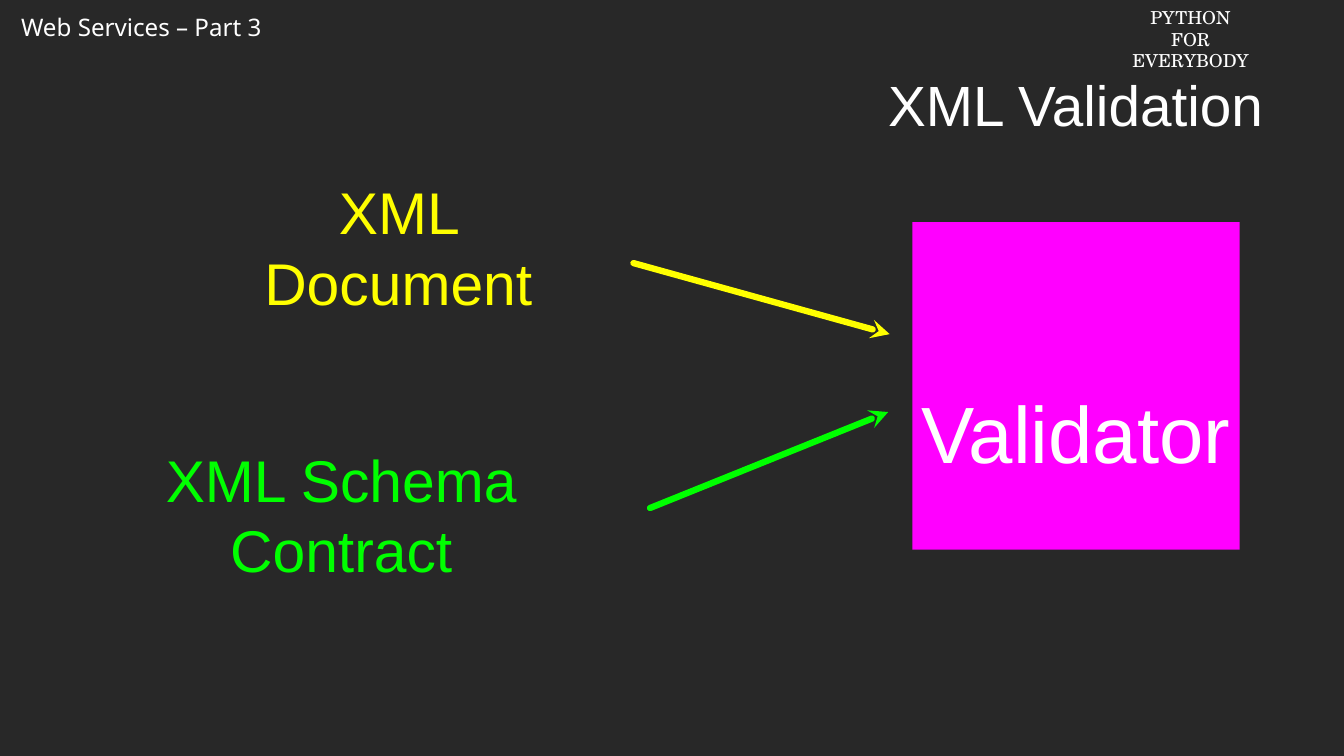
from dataclasses import dataclass

from lxml import etree
from pptx import Presentation
from pptx.dml.color import RGBColor
from pptx.enum.shapes import MSO_CONNECTOR, MSO_SHAPE
from pptx.enum.text import MSO_ANCHOR, PP_ALIGN
from pptx.oxml.ns import qn
from pptx.util import Emu, Pt

STRAIGHT = MSO_CONNECTOR.STRAIGHT
RECTANGLE = MSO_SHAPE.RECTANGLE
TOP, MIDDLE = MSO_ANCHOR.TOP, MSO_ANCHOR.MIDDLE
LEFT, CENTER = PP_ALIGN.LEFT, PP_ALIGN.CENTER

EMU_PER_PX = 9144  # 100 px to the inch
WHITE, YELLOW, GREEN, MAGENTA = "FFFFFF", "FFFF00", "00FF00", "FF00FF"


@dataclass
class Label:
    lines: list[str]
    area: tuple[int, int, int, int]  # left, top, width, height
    size: int
    color: str = WHITE
    font: str = "Arial"
    align: PP_ALIGN = CENTER
    anchor: MSO_ANCHOR = MIDDLE
    wrap: bool = True
    inset: tuple[int, int] = (0, 0)  # sides, top
    fill: str | None = None


@dataclass
class Arrow:
    tip: tuple[int, int]
    start: tuple[int, int]
    color: str


LABELS = [
    Label(["Web Services – Part 3"], (18, 12, 350, 49), 23, font="Noto Sans",
          align=LEFT, anchor=TOP, wrap=False, inset=(10, 5)),
    Label(["PYTHON FOR", "EVERYBODY"], (1488, 4, 174, 67), 17,
          font="TeX Gyre Schola", anchor=TOP, inset=(8, 5)),
    Label(["Validator"], (1207, 294, 433, 433), 76, inset=(0, 121), fill=MAGENTA),
    Label(["XML Schema Contract"], (84, 630, 735, 100), 56, GREEN),
    Label(["XML Document"], (265, 276, 524, 100), 56, YELLOW),
    Label(["XML Validation"], (1156, 83, 534, 110), 54),
]

ARROWS = [
    Arrow((1177, 442), (838, 348), YELLOW),
    Arrow((1175, 545), (860, 672), GREEN),
]


def px(length: int) -> Emu:
    return Emu(length * EMU_PER_PX)


def rgb(color: str) -> RGBColor:
    return RGBColor.from_string(color)


def draw_label(page, label: Label) -> None:
    area = [px(length) for length in label.area]
    if label.fill:
        box = page.shapes.add_shape(RECTANGLE, *area)
        box.shadow.inherit = False
        box.fill.solid()
        box.fill.fore_color.rgb = rgb(label.fill)
        box.line.fill.background()
    else:
        box = page.shapes.add_textbox(*area)
    frame = box.text_frame
    frame.word_wrap = label.wrap
    frame.vertical_anchor = label.anchor
    sides, top = label.inset
    frame.margin_left = frame.margin_right = px(sides)
    frame.margin_top = px(top)
    frame.margin_bottom = 0
    frame.text = "\n".join(label.lines)
    for paragraph in frame.paragraphs:
        paragraph.alignment = label.align
        paragraph.font.name = label.font
        paragraph.font.size = Pt(label.size)
        paragraph.font.color.rgb = rgb(label.color)


def draw_arrow(page, arrow: Arrow) -> None:
    ends = [px(length) for length in arrow.tip + arrow.start]
    connector = page.shapes.add_connector(STRAIGHT, *ends)
    connector.line.color.rgb = rgb(arrow.color)
    connector.line.width = Pt(6)
    outline = connector.line._get_or_add_ln()
    outline.set("cap", "rnd")
    etree.SubElement(outline, qn("a:round"))
    etree.SubElement(outline, qn("a:headEnd"), type="stealth")
    etree.SubElement(connector._element.spPr, qn("a:effectLst"))


def main() -> None:
    deck = Presentation()
    deck.slide_width, deck.slide_height = px(1778), px(1000)
    page = deck.slides.add_slide(deck.slide_layouts[6])
    page.background.fill.solid()
    page.background.fill.fore_color.rgb = rgb("282828")
    for label in LABELS:
        draw_label(page, label)
    for arrow in ARROWS:
        draw_arrow(page, arrow)
    deck.save("out.pptx")


if __name__ == "__main__":
    main()
